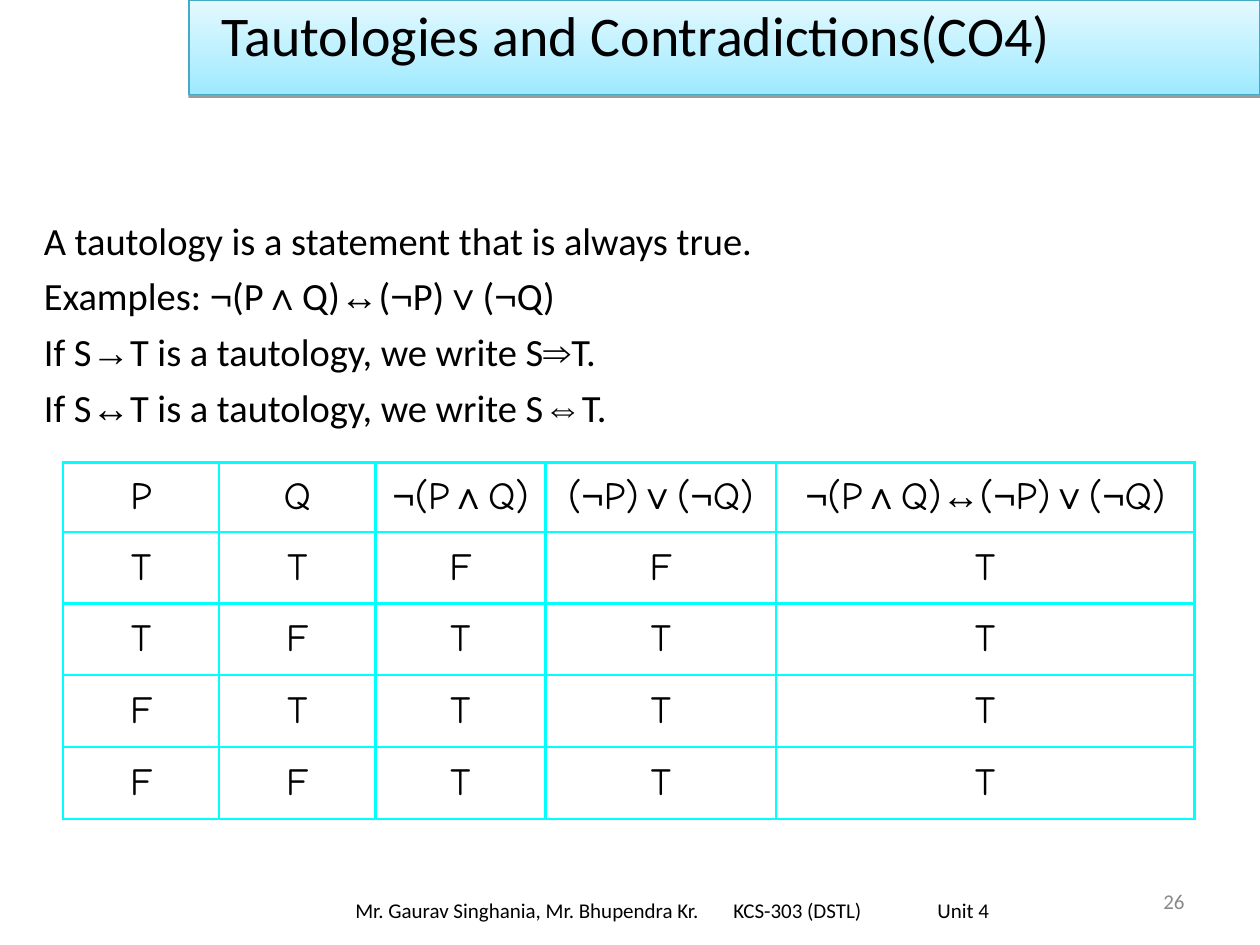
import itertools

import pptx
import pptx.dml.color
import pptx.enum.shapes
import pptx.enum.text
import pptx.oxml
import pptx.oxml.ns
import pptx.util
from pptx.util import Inches

ALIGN = pptx.enum.text.PP_ALIGN
ANCHOR = pptx.enum.text.MSO_ANCHOR

TITLE = "Tautologies and Contradictions(CO4)"
STATEMENTS = [
    "A tautology is a statement that is always true.",
    "Examples: ¬(P∧Q)↔(¬P)∨(¬Q)",
    "If S→T is a tautology, we write S⇒T.",
    "If S↔T is a tautology, we write S⇔T.",
]
TRUTH_TABLE = [
    ["P", "Q", "¬(P∧Q)", "(¬P)∨(¬Q)", "¬(P∧Q)↔(¬P)∨(¬Q)"],
    ["T", "T", "F", "F", "T"],
    ["T", "F", "T", "T", "T"],
    ["F", "T", "T", "T", "T"],
    ["F", "F", "T", "T", "T"],
]
COLUMN_WIDTHS = [1.24, 1.24, 1.35, 1.83, 3.32]
ROW_HEIGHTS = [0.55] + [0.57] * 4
FOOTER = "Mr. Gaurav Singhania, Mr. Bhupendra Kr.\tKCS-303 (DSTL)\tUnit 4"
FOOTER_TABS = [3.0, 4.62]
PAGE_NUMBER = "26"
SYMBOLS = "¬∧∨→↔⇒⇔"
BOLD_SYMBOLS = "→↔"


def color(value):
    return pptx.dml.color.RGBColor.from_string(value)


def xml(text):
    return pptx.oxml.parse_xml(text.replace(">", f" {pptx.oxml.ns.nsdecls('a')}>", 1))


def style_font(font, name, size, ink="000000"):
    font.name = name
    font.size = pptx.util.Pt(size)
    font.color.rgb = color(ink)


def write_logic(paragraph, text, letter_font):
    for is_symbol, chars in itertools.groupby(text, lambda char: char in SYMBOLS):
        run = paragraph.add_run()
        run.text = "".join(chars)
        style_font(run.font, "Arial" if is_symbol else letter_font, 22)
        run.font.bold = run.text in BOLD_SYMBOLS


def add_text(slide, box, text="", size=12, align=ALIGN.LEFT, anchor=ANCHOR.MIDDLE, ink="000000"):
    frame = slide.shapes.add_textbox(*map(Inches, box)).text_frame
    frame.word_wrap = True
    frame.vertical_anchor = anchor
    frame.paragraphs[0].alignment = align
    if text:
        frame.paragraphs[0].text = text
        style_font(frame.paragraphs[0].runs[0].font, "Calibri", size, ink)
    return frame


def add_banner(slide):
    banner = slide.shapes.add_shape(
        pptx.enum.shapes.MSO_SHAPE.RECTANGLE, Inches(1.5), 0, Inches(8.5), Inches(0.75))
    banner.fill.gradient()
    banner.fill.gradient_angle = 90
    for stop, (position, shade) in zip(banner.fill.gradient_stops, [(0, "9EEAFF"), (1, "E4F9FF")]):
        stop.position = position
        stop.color.rgb = color(shade)
    banner.line.color.rgb = color("46AAC5")
    banner.line.width = pptx.util.Pt(0.75)
    banner.shadow.inherit = False
    effects = banner._element.spPr.find(pptx.oxml.ns.qn("a:effectLst"))
    effects.append(xml(
        '<a:outerShdw blurRad="0" dist="20320" dir="5400000" rotWithShape="0">'
        '<a:srgbClr val="000000"><a:alpha val="38000"/></a:srgbClr></a:outerShdw>'))


def add_statements(slide):
    frame = add_text(slide, (0.25, 1.67, 9.5, 1.95), anchor=ANCHOR.TOP)
    for index, statement in enumerate(STATEMENTS):
        paragraph = frame.add_paragraph() if index else frame.paragraphs[0]
        properties = paragraph._p.get_or_add_pPr()
        properties.set("marL", str(Inches(0.38)))
        properties.set("indent", str(-Inches(0.38)))
        if index:
            paragraph.space_before = pptx.util.Pt(5.5)
        write_logic(paragraph, statement, "Calibri")


def add_truth_table(slide):
    table = slide.shapes.add_table(
        len(TRUTH_TABLE), len(COLUMN_WIDTHS), Inches(0.5), Inches(3.67),
        Inches(sum(COLUMN_WIDTHS)), Inches(sum(ROW_HEIGHTS))).table
    table.first_row = table.horz_banding = False
    for column, width in zip(table.columns, COLUMN_WIDTHS):
        column.width = Inches(width)
    for row, height, values in zip(table.rows, ROW_HEIGHTS, TRUTH_TABLE):
        row.height = Inches(height)
        for cell, value in zip(row.cells, values):
            cell.vertical_anchor = ANCHOR.MIDDLE
            properties = cell._tc.get_or_add_tcPr()
            for side in ("lnL", "lnR", "lnT", "lnB"):
                properties.append(xml(
                    f'<a:{side} w="{pptx.util.Pt(1.47)}"><a:solidFill>'
                    f'<a:srgbClr val="00FFFF"/></a:solidFill></a:{side}>'))
            cell.fill.background()
            paragraph = cell.text_frame.paragraphs[0]
            paragraph.alignment = ALIGN.CENTER
            write_logic(paragraph, value, "Comic Neue")


def add_footer(slide):
    frame = add_text(slide, (2.58, 7.02, 5.5, 0.4), FOOTER)
    frame.margin_left = Inches(0.24)
    stops = "".join(f'<a:tab pos="{Inches(stop)}" algn="l"/>' for stop in FOOTER_TABS)
    paragraph = frame.paragraphs[0]
    paragraph._p.get_or_add_pPr().append(xml(f"<a:tabLst>{stops}</a:tabLst>"))


def main():
    deck = pptx.Presentation()
    deck.slide_width, deck.slide_height = Inches(10), Inches(7.5)
    slide = deck.slides.add_slide(deck.slide_layouts[6])
    add_text(slide, (7.17, 6.95, 2.33, 0.4), PAGE_NUMBER, align=ALIGN.RIGHT, ink="898989")
    add_banner(slide)
    add_text(slide, (0.8, 0, 8.5, 0.54), TITLE, size=32, align=ALIGN.CENTER)
    add_statements(slide)
    add_truth_table(slide)
    add_footer(slide)
    deck.save("out.pptx")


if __name__ == "__main__":
    main()
